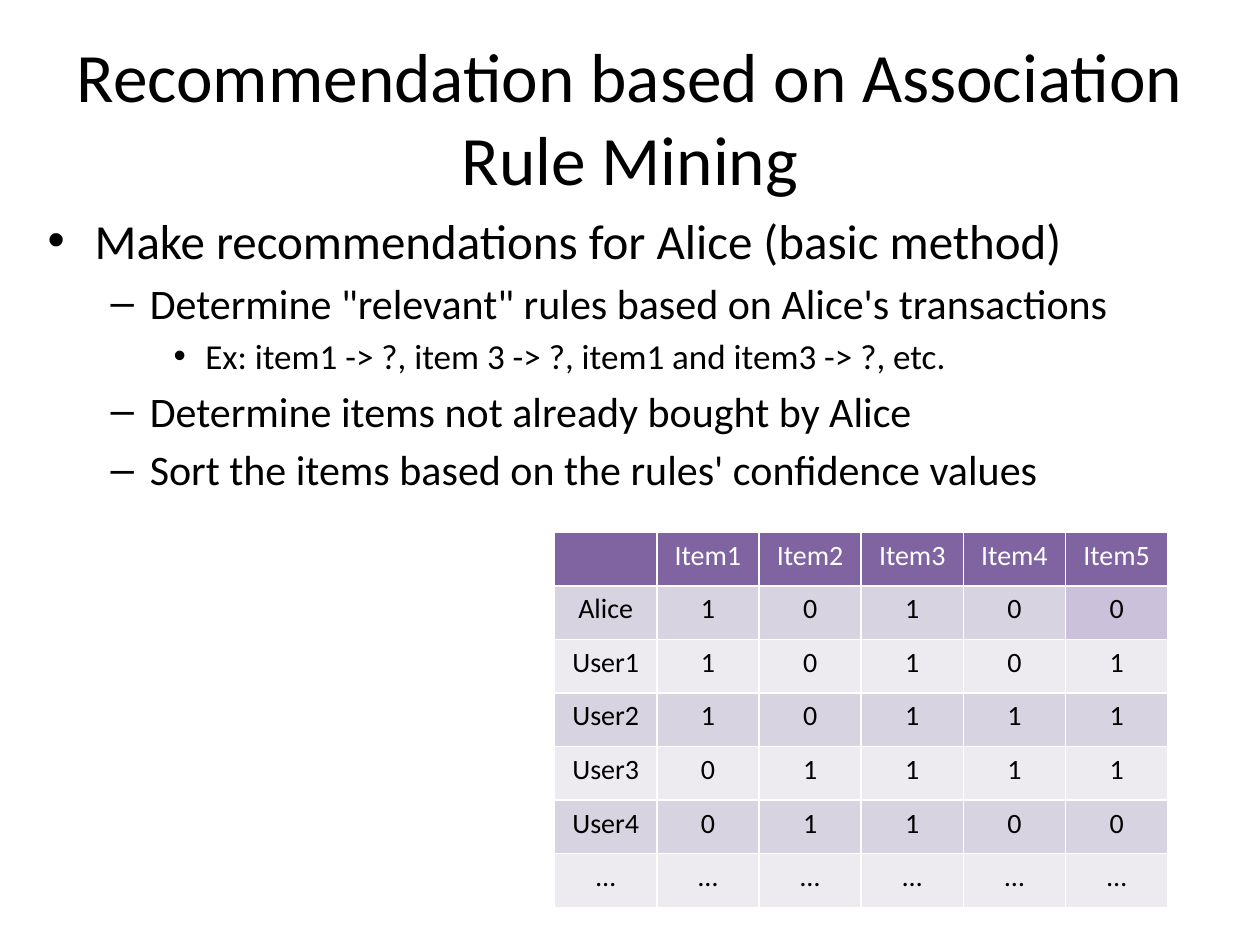
from lxml.etree import SubElement
from pptx import Presentation
from pptx.dml.color import RGBColor
from pptx.enum.text import MSO_ANCHOR, PP_ALIGN
from pptx.oxml.ns import qn
from pptx.util import Cm, Pt


def rgb(color):
    return RGBColor.from_string(color)


def style(p, size, color="000000"):
    for r in p.runs:
        r.font.name = "Calibri"
        r.font.size = Pt(size)
        r.font.bold = False
        r.font.color.rgb = rgb(color)


prs = Presentation()
prs.slide_width = Cm(25.4)
prs.slide_height = Cm(19.05)
s = prs.slides.add_slide(prs.slide_layouts[6])

tf = s.shapes.add_textbox(Cm(1.27), Cm(0.76), Cm(22.86), Cm(3.18)).text_frame
tf.word_wrap = True
tf.vertical_anchor = MSO_ANCHOR.MIDDLE
p = tf.paragraphs[0]
p.text = "Recommendation based on Association Rule Mining"
p.alignment = PP_ALIGN.CENTER
style(p, 39.6)

levels = [
    ("•", 28, 0.95, 0.95),
    ("–", 24, 2.06, 0.79),
    ("•", 20, 3.18, 0.64),
]
points = [
    (0, "Make recommendations for Alice (basic method)"),
    (1, "Determine \"relevant\" rules based on Alice's transactions"),
    (2, "Ex: item1 -> ?, item 3 -> ?, item1 and item3 -> ?, etc."),
    (1, "Determine items not already bought by Alice"),
    (1, "Sort the items based on the rules' confidence values"),
]
tf = s.shapes.add_textbox(Cm(0.71), Cm(4.11), Cm(22.86), Cm(12.57)).text_frame
tf.word_wrap = True
for i, (level, text) in enumerate(points):
    bullet, size, left, hang = levels[level]
    p = tf.paragraphs[0] if i == 0 else tf.add_paragraph()
    p.text = text
    p.level = level
    pPr = p._p.get_or_add_pPr()
    pPr.set("marL", str(Cm(left)))
    pPr.set("indent", str(-Cm(hang)))
    SubElement(pPr, qn("a:buFont"), typeface="Arial")
    SubElement(pPr, qn("a:buChar"), char=bullet)
    if i > 0:
        p.space_before = Pt(size * 0.2)
    style(p, size)

rows = [
    ["", "Item1", "Item2", "Item3", "Item4", "Item5"],
    ["Alice", "1", "0", "1", "0", "0"],
    ["User1", "1", "0", "1", "0", "1"],
    ["User2", "1", "0", "1", "1", "1"],
    ["User3", "0", "1", "1", "1", "1"],
    ["User4", "0", "1", "1", "0", "0"],
    ["…"] * 6,
]
table = s.shapes.add_table(7, 6, Cm(11.18), Cm(10.73), Cm(12.36), Cm(7.56)).table
for col in table.columns:
    col.width = Cm(2.06)
for i, values in enumerate(rows):
    table.rows[i].height = Cm(1.08)
    for j, value in enumerate(values):
        cell = table.cell(i, j)
        if i == 0:
            fill, color = "8064A2", "FFFFFF"
        else:
            fill, color = ("D8D3E0" if i % 2 else "EDEAF0"), "000000"
        if (i, j) == (1, 5):
            fill = "CCC1DA"
        cell.fill.solid()
        cell.fill.fore_color.rgb = rgb(fill)
        p = cell.text_frame.paragraphs[0]
        p.text = value
        p.alignment = PP_ALIGN.CENTER
        style(p, 16, color)

prs.save("out.pptx")
